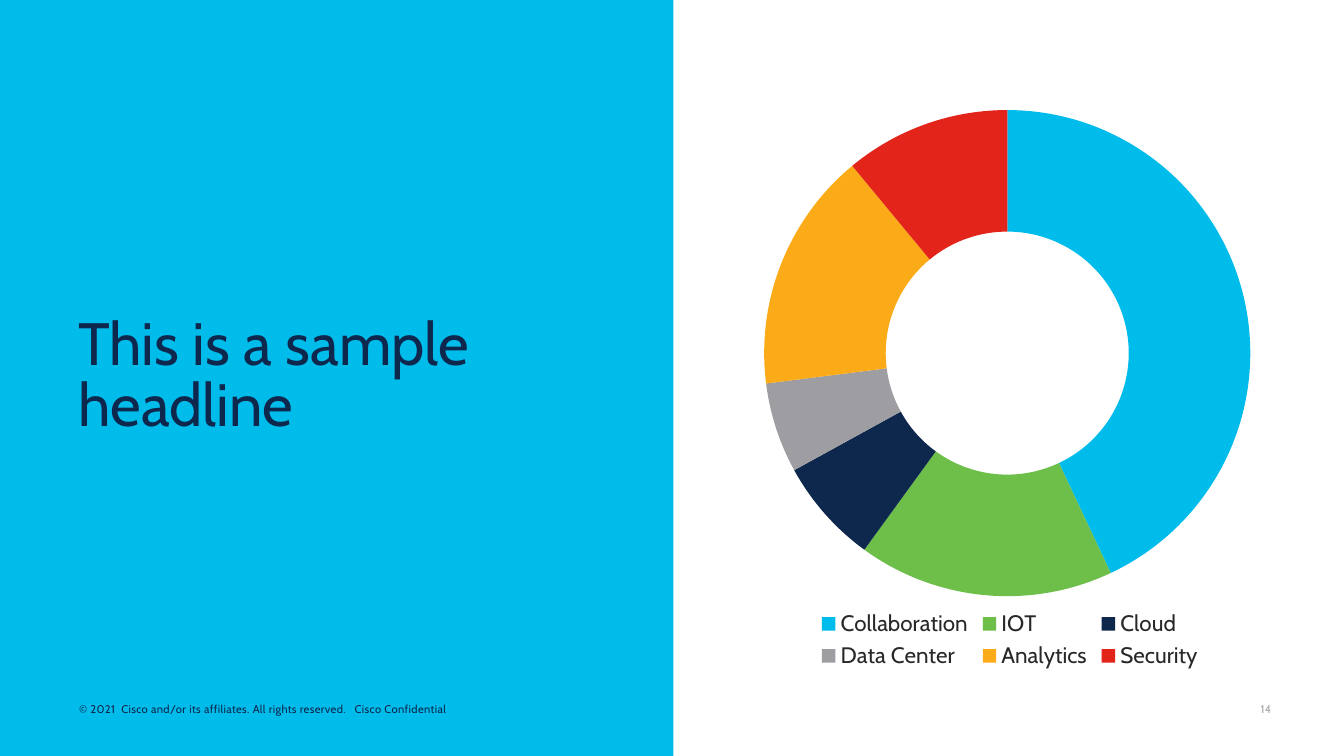
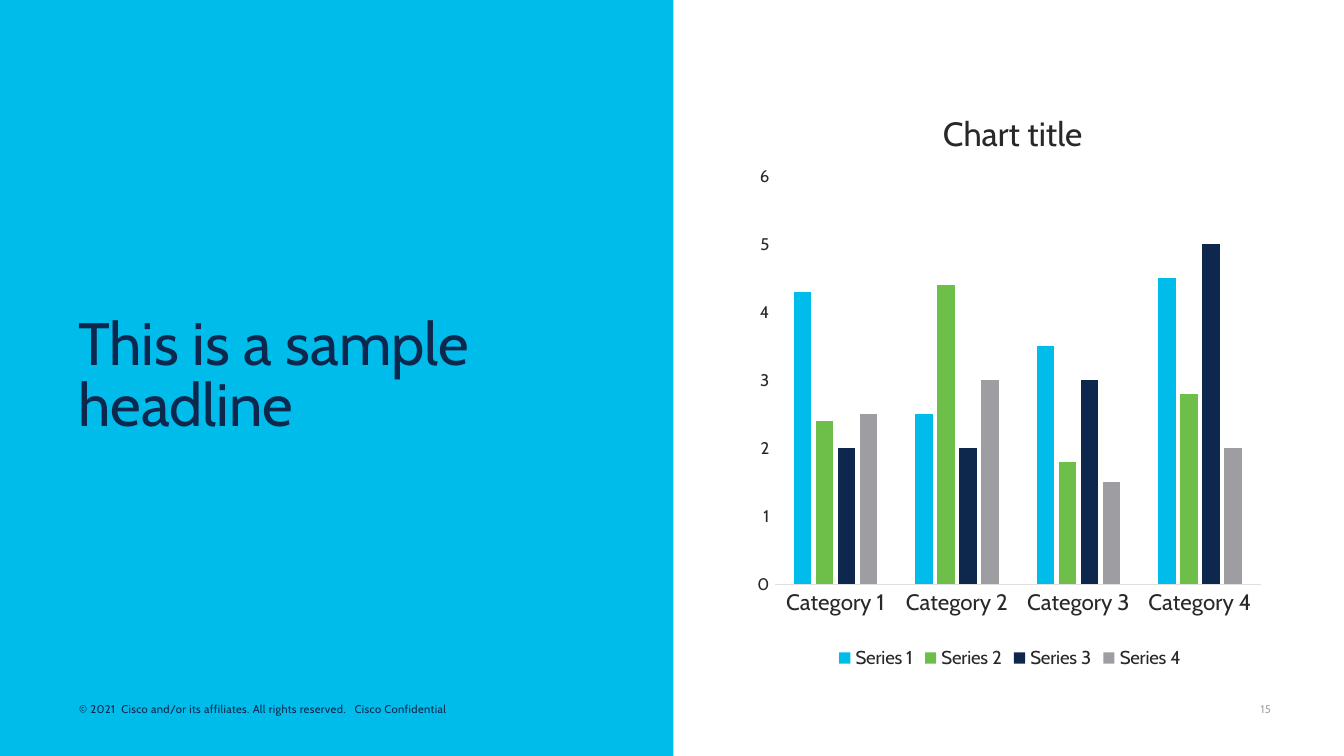
"""Builds two split-panel slides: a doughnut chart and a clustered column chart."""
import pptx
import pptx.chart.data
import pptx.dml.color
import pptx.enum.chart
import pptx.enum.shapes
import pptx.enum.text
import pptx.oxml
import pptx.oxml.ns
import pptx.util

Pt = pptx.util.Pt
RGBColor = pptx.dml.color.RGBColor
XL = pptx.enum.chart
ANCHOR = pptx.enum.text.MSO_ANCHOR

SKY = RGBColor(0x00, 0xBC, 0xEB)
GREEN = RGBColor(0x6E, 0xBE, 0x4A)
NAVY = RGBColor(0x0D, 0x27, 0x4D)
GRAY = RGBColor(0x9E, 0x9E, 0xA2)
AMBER = RGBColor(0xFB, 0xAB, 0x18)
RED = RGBColor(0xE3, 0x24, 0x1B)
INK = RGBColor(0x28, 0x28, 0x28)
PALE = RGBColor(0xA6, 0xA6, 0xA6)
RULE = RGBColor(0xDF, 0xDF, 0xDF)
PALETTE = [SKY, GREEN, NAVY, GRAY, AMBER, RED]
FONT = "Cabin"
FOOTER = "© 2021  Cisco and/or its affiliates. All rights reserved.   Cisco Confidential"
HEADLINE = "This is a sample headline"


def write(tf, text, size, color, anchor=None, inset=None, wrap=True, line=None, spacing=None):
    if inset:
        tf.margin_left = tf.margin_right = Pt(inset[0])
        tf.margin_top = tf.margin_bottom = Pt(inset[1])
        tf.word_wrap = wrap
        tf.vertical_anchor = anchor
    p = tf.paragraphs[0]
    p.alignment = pptx.enum.text.PP_ALIGN.LEFT if inset else None
    p.line_spacing = line
    r = p.add_run()
    r.text = text
    r.font.name = FONT
    r.font.size = Pt(size)
    r.font.bold = False
    r.font.color.rgb = color
    if spacing:
        r.font._element.set("spc", str(spacing))


def place(parent, x, y, w=None, h=None):
    old = parent.find(pptx.oxml.ns.qn("c:layout"))
    if old is not None:
        parent.remove(old)
    target = '<c:layoutTarget val="inner"/>' if w else ""
    size = f'<c:w val="{w}"/><c:h val="{h}"/>' if w else ""
    layout = pptx.oxml.parse_xml(
        f'<c:layout {pptx.oxml.ns.nsdecls("c")}><c:manualLayout>{target}'
        f'<c:xMode val="edge"/><c:yMode val="edge"/><c:x val="{x}"/><c:y val="{y}"/>{size}'
        "</c:manualLayout></c:layout>")
    tx = parent.find(pptx.oxml.ns.qn("c:tx"))
    parent.insert(0 if tx is None else 1, layout)


prs = pptx.Presentation()
prs.slide_width, prs.slide_height = Pt(720), Pt(405)

doughnut_data = pptx.chart.data.CategoryChartData()
doughnut_data.categories = ["Collaboration", "IOT", "Cloud", "Data Center", "Analytics", "Security"]
doughnut_data.add_series("Series 1", [43, 17, 7, 6, 16, 11])

column_data = pptx.chart.data.CategoryChartData()
column_data.categories = [f"Category {n}" for n in range(1, 5)]
columns = [[4.3, 2.5, 3.5, 4.5], [2.4, 4.4, 1.8, 2.8], [2, 2, 3, 5], [2.5, 3, 1.5, 2]]
for n, values in enumerate(columns, 1):
    column_data.add_series(f"Series {n}", values)

charts = []
for number, kind, data, size, legend_size in [
    (14, XL.XL_CHART_TYPE.DOUGHNUT, doughnut_data, 10.5, 12),
    (15, XL.XL_CHART_TYPE.COLUMN_CLUSTERED, column_data, 10, 10),
]:
    s = prs.slides.add_slide(prs.slide_layouts[5])

    panel = s.shapes.add_shape(
        pptx.enum.shapes.MSO_SHAPE.RECTANGLE, 0, 0, Pt(360.7), prs.slide_height)
    panel.shadow.inherit = False
    panel.fill.solid()
    panel.fill.fore_color.rgb = SKY
    panel.line.fill.background()

    for text, left, width, color, wrap in [
        (str(number), 670.3, 17.3, PALE, False),
        (FOOTER, 37.4, 280.8, NAVY, True),
    ]:
        sp = s.shapes.add_textbox(Pt(left), Pt(373.7), Pt(width), Pt(12.2))
        write(sp.text_frame, text, 6, color, ANCHOR.BOTTOM, (5, 2.2), wrap, spacing=20)

    title = s.shapes.title
    title.left, title.top, title.width, title.height = Pt(34.6), Pt(131), Pt(300.2), Pt(143.3)
    write(title.text_frame, HEADLINE, 32, NAVY, ANCHOR.MIDDLE, (7.2, 3.6), line=0.85)
    panel.element.addnext(title.element)

    chart = s.shapes.add_chart(kind, Pt(401), Pt(39.6), Pt(280.1), Pt(321.8), data).chart
    chart.font.name = FONT
    chart.font.size = Pt(size)
    chart.font.color.rgb = INK
    chart.has_title = False
    chart.has_legend = True
    chart.legend.position = XL.XL_LEGEND_POSITION.BOTTOM
    chart.legend.include_in_layout = False
    chart.legend.font.name = FONT
    chart.legend.font.size = Pt(legend_size)
    chart.legend.font.color.rgb = INK
    charts.append(chart)

doughnut, column = charts

plot = doughnut.plots[0]
plot.vary_by_categories = True
plot._element.find(pptx.oxml.ns.qn("c:holeSize")).set("val", "75")
for i, color in enumerate(PALETTE):
    point = plot.series[0].points[i]
    point.format.fill.solid()
    point.format.fill.fore_color.rgb = color
    point.format.line.fill.background()
place(plot._element.getparent(), 0.03, 0.06, 0.93, 0.81)

plot = column.plots[0]
plot.vary_by_categories = False
plot.gap_width, plot.overlap = 219, -27
for series, color in zip(plot.series, PALETTE):
    series.format.fill.solid()
    series.format.fill.fore_color.rgb = color
    series.invert_if_negative = False
place(plot._element.getparent(), 0.05, 0.17, 0.93, 0.68)

column.has_title = True
write(column.chart_title.text_frame, "Chart title", 18, INK)
place(column.chart_title._element, 0.36, 0.05)

for axis, size in [(column.category_axis, 12), (column.value_axis, 9)]:
    axis.major_tick_mark = axis.minor_tick_mark = XL.XL_TICK_MARK.NONE
    axis.has_major_gridlines = False
    axis.tick_labels.font.name = FONT
    axis.tick_labels.font.size = Pt(size)
    axis.tick_labels.font.color.rgb = INK
column.category_axis.format.line.color.rgb = RULE
column.category_axis.format.line.width = Pt(0.75)
column.value_axis.format.line.fill.background()
column.value_axis.minimum_scale = 0
column.value_axis.maximum_scale = 6
column.value_axis.major_unit = 1

prs.save("out.pptx")
